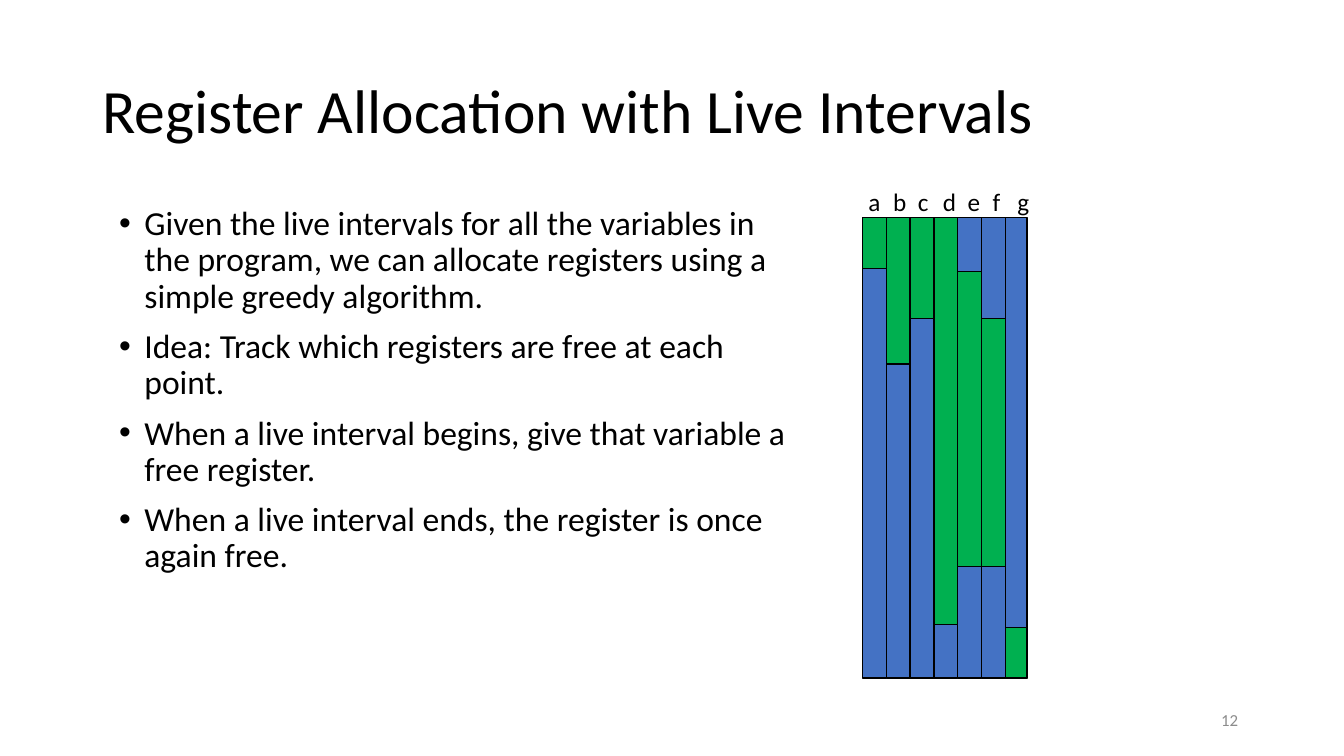
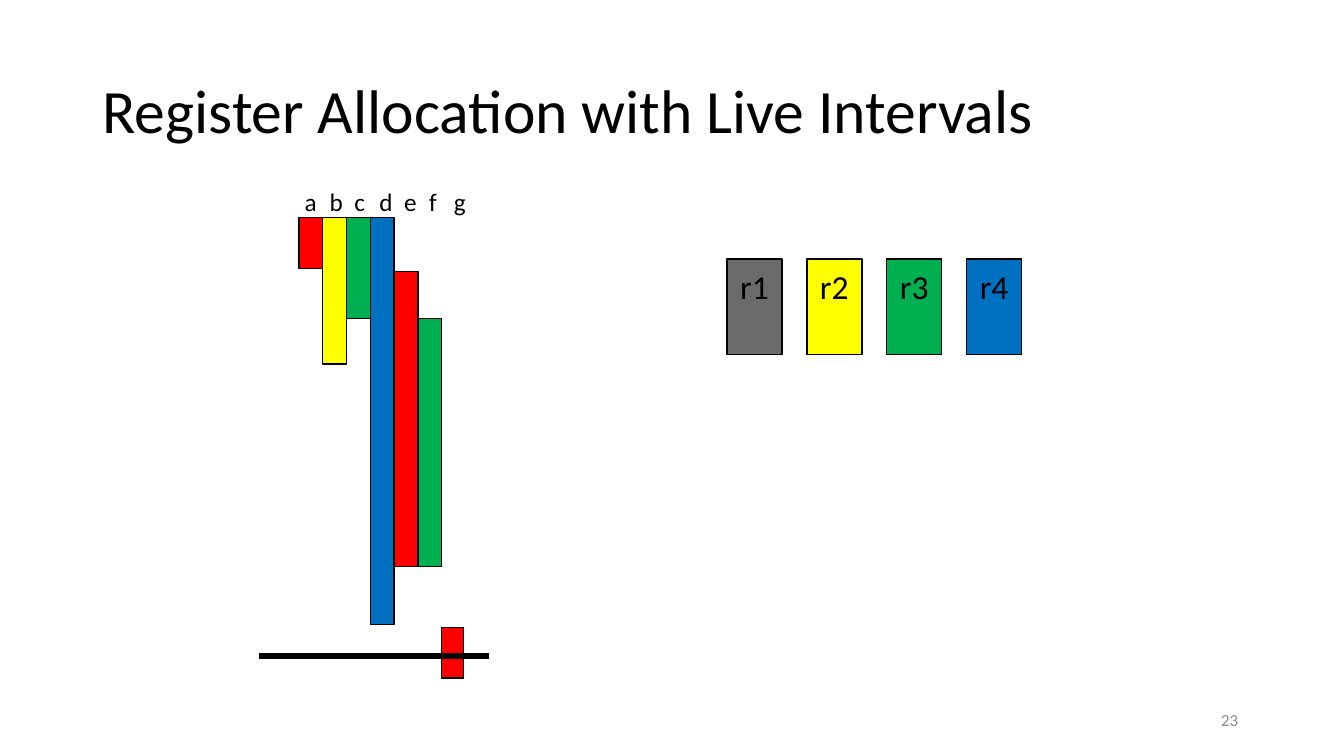
import lxml.etree
import pptx
import pptx.dml.color
import pptx.enum.shapes
import pptx.enum.text
import pptx.oxml.ns
import pptx.util

Cm = pptx.util.Cm
Pt = pptx.util.Pt
RGBColor = pptx.dml.color.RGBColor
Align = pptx.enum.text.PP_ALIGN
Anchor = pptx.enum.text.MSO_ANCHOR

BLACK = RGBColor(0x00, 0x00, 0x00)
GRAY = RGBColor(0x8C, 0x8C, 0x8C)
DARK_GRAY = RGBColor(0x6B, 0x6B, 0x6B)
STEEL_BLUE = RGBColor(0x44, 0x72, 0xC4)
BLUE = RGBColor(0x00, 0x70, 0xC0)
GREEN = RGBColor(0x00, 0xB0, 0x50)
RED = RGBColor(0xFF, 0x00, 0x00)
YELLOW = RGBColor(0xFF, 0xFF, 0x00)

FONT = "Calibri"
TITLE = "Register Allocation with Live Intervals"
BULLET_INDENT = 0.48

# Variable, start and end of its live interval (cm below the top), bar width
INTERVALS = [
    ("a", 0, 0.97, 0.45),
    ("b", 0, 2.77, 0.45),
    ("c", 0, 1.91, 0.45),
    ("d", 0, 7.7, 0.45),
    ("e", 1.02, 6.6, 0.45),
    ("f", 1.91, 6.6, 0.45),
    ("g", 7.75, 8.71, 0.41),
]
INTERVAL_TOP = 4.11
PROGRAM_LENGTH = 8.71
BAR_STEP = 0.45
LABEL_STEP = 0.47

ALGORITHM = [
    "Given the live intervals for all the variables in the program, "
    "we can allocate registers using a simple greedy algorithm.",
    "Idea: Track which registers are free at each point.",
    "When a live interval begins, give that variable a free register.",
    "When a live interval ends, the register is once again free.",
]
ASSIGNED_COLORS = [RED, YELLOW, GREEN, BLUE, RED, GREEN, RED]
REGISTERS = [("r1", DARK_GRAY), ("r2", YELLOW), ("r3", GREEN), ("r4", BLUE)]


class SlideBuilder:
    def __init__(self):
        self.deck = pptx.Presentation()
        self.deck.slide_width = Cm(25.4)
        self.deck.slide_height = Cm(14.29)
        self.slide = None

    def start_slide(self, number):
        self.slide = self.deck.slides.add_slide(self.deck.slide_layouts[6])
        title = self.text(TITLE, 1.75, 0.76, 21.9, 2.77, 33, anchor=Anchor.MIDDLE)
        title.margin_left = Cm(0.19)
        title.paragraphs[0].line_spacing = 0.9
        self.text(number, 17.93, 13.23, 5.72, 0.76, 9, GRAY, Align.RIGHT, Anchor.MIDDLE)

    def style(self, paragraph, size, color=BLACK, align=Align.LEFT):
        paragraph.alignment = align
        paragraph.font.name = FONT
        paragraph.font.size = Pt(size)
        paragraph.font.color.rgb = color

    def text(self, words, left, top, width, height, size, color=BLACK,
             align=Align.LEFT, anchor=Anchor.TOP):
        box = self.slide.shapes.add_textbox(Cm(left), Cm(top), Cm(width), Cm(height))
        frame = box.text_frame
        frame.word_wrap = True
        frame.vertical_anchor = anchor
        frame.text = words
        for paragraph in frame.paragraphs:
            self.style(paragraph, size, color, align)
        return frame

    def bullets(self, items, left, top, width, height):
        frame = self.text("\n".join(items), left, top, width, height, 18)
        for index, paragraph in enumerate(frame.paragraphs):
            paragraph.line_spacing = 0.9
            paragraph.space_before = Pt(7.5 if index else 0)
            properties = paragraph._p.get_or_add_pPr()
            properties.set("marL", str(Cm(BULLET_INDENT)))
            properties.set("indent", str(-Cm(BULLET_INDENT)))
            font = pptx.oxml.ns.qn("a:buFont")
            mark = pptx.oxml.ns.qn("a:buChar")
            defaults = properties.find(pptx.oxml.ns.qn("a:defRPr"))
            defaults.addprevious(lxml.etree.Element(font, typeface="Arial"))
            defaults.addprevious(lxml.etree.Element(mark, char="•"))

    def rectangle(self, left, top, width, height, fill, words=""):
        shape = self.slide.shapes.add_shape(
            pptx.enum.shapes.MSO_SHAPE.RECTANGLE,
            Cm(left), Cm(top), Cm(width), Cm(height))
        shape.shadow.inherit = False
        shape.fill.solid()
        shape.fill.fore_color.rgb = fill
        shape.line.color.rgb = BLACK
        shape.line.width = Pt(0.75)
        if words:
            frame = shape.text_frame
            frame.word_wrap = False
            frame.vertical_anchor = Anchor.TOP
            frame.text = words
            self.style(frame.paragraphs[0], 18, align=Align.CENTER)

    def horizontal_line(self, left, right, height, weight):
        line = self.slide.shapes.add_connector(
            pptx.enum.shapes.MSO_CONNECTOR.STRAIGHT,
            Cm(left), Cm(height), Cm(right), Cm(height))
        line.line.color.rgb = BLACK
        line.line.width = Pt(weight)
        effects = pptx.oxml.ns.qn("a:effectLst")
        lxml.etree.SubElement(line._element.spPr, effects)

    def live_intervals(self, left, colors, background=None):
        """Draw one labelled bar per variable, optionally over full-length columns."""
        if background is not None:
            for column, (_, _, _, width) in enumerate(INTERVALS):
                self.rectangle(left + column * BAR_STEP, INTERVAL_TOP,
                               width, PROGRAM_LENGTH, background)
        for column, (name, start, end, width) in enumerate(INTERVALS):
            self.text(name, left - 0.14 + column * LABEL_STEP, 3.4, 0.89, 0.84, 13.5)
            self.rectangle(left + column * BAR_STEP, INTERVAL_TOP + start,
                           width, end - start, colors[column])


def build_algorithm_slide(builder):
    builder.start_slide("12")
    builder.bullets(ALGORITHM, 2, 3.78, 13.23, 7.57)
    builder.live_intervals(16.3, [GREEN] * len(INTERVALS), STEEL_BLUE)


def build_allocation_slide(builder):
    builder.start_slide("23")
    builder.live_intervals(5.65, ASSIGNED_COLORS)
    for index, (name, color) in enumerate(REGISTERS):
        builder.rectangle(13.74 + index * 1.51, 4.9, 1.04, 1.8, color, name)
    builder.horizontal_line(4.9, 9.25, 12.4, 3)


def main():
    builder = SlideBuilder()
    build_algorithm_slide(builder)
    build_allocation_slide(builder)
    builder.deck.save("out.pptx")


if __name__ == "__main__":
    main()
